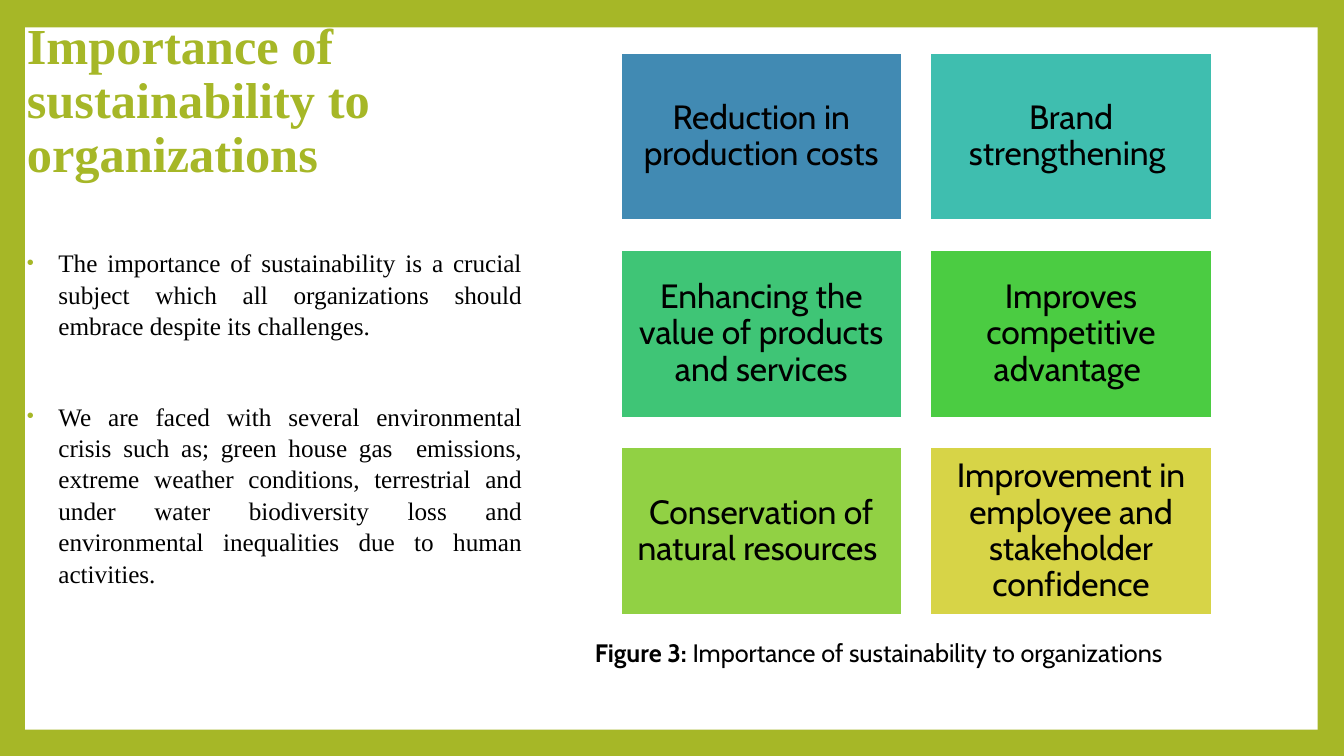
from dataclasses import dataclass

from lxml.etree import SubElement
from pptx import Presentation
from pptx.dml.color import RGBColor
from pptx.enum.shapes import MSO_SHAPE
from pptx.enum.text import MSO_ANCHOR as Anchor, MSO_AUTO_SIZE as AutoSize, PP_ALIGN as Align
from pptx.oxml.ns import qn
from pptx.util import Pt

PX = 9525  # EMU per px, 96 px to the inch


@dataclass(frozen=True)
class Theme:
    accent: str = "A6B727"
    paper: str = "FFFFFF"
    ink: str = "000000"
    serif: str = "Times New Roman"
    sans: str = "Cabin"
    title_size: int = 36
    tile_size: int = 24
    text_size: int = 18


@dataclass(frozen=True)
class Box:
    left: int
    top: int
    width: int
    height: int

    def emu(self) -> tuple[int, ...]:
        return tuple(v * PX for v in (self.left, self.top, self.width, self.height))


@dataclass(frozen=True)
class Benefit:
    wording: str
    color: str


THEME = Theme()
PANEL = Box(24, 26, 1231, 669)
TITLE = Box(16, 22, 556, 158)
BODY = Box(16, 230, 491, 472)
CAPTION = Box(557, 602, 640, 38)
FIRST_TILE = Box(591, 50, 268, 160)
COLUMNS, COLUMN_STEP, ROW_STEP = 2, 295, 188
TILE_INSET = 10
BULLET_INDENT = 30

BENEFITS = [
    Benefit("Reduction in production costs", "418AB3"),
    Benefit("Brand strengthening ", "3FBEAF"),
    Benefit("Enhancing the value of products and services", "3FC576"),
    Benefit("Improves competitive advantage ", "4BCC42"),
    Benefit("Conservation of natural resources ", "91D144"),
    Benefit("Improvement in employee and stakeholder confidence", "D7D447"),
]

# Each point with the space above it, in points
POINTS = [
    ("The importance of sustainability is a crucial subject which all organizations "
     "should embrace despite its challenges. ", 10),
    ("We are faced with several environmental crisis such as; green house gas  emissions, "
     "extreme weather conditions, terrestrial and under water biodiversity loss and "
     "environmental inequalities due to human activities. ", 42),
]


def apply(target, formats: dict) -> None:
    for name, value in formats.items():
        setattr(target, name, value)


def place(shape, box: Box) -> None:
    apply(shape, dict(zip(("left", "top", "width", "height"), box.emu())))


def write(paragraph, wording: str, face: str, size: int, color: str, bold: bool = False) -> None:
    run = paragraph.add_run()
    run.text = wording
    apply(run.font, {"name": face, "size": Pt(size), "bold": bold})
    run.font.color.rgb = RGBColor.from_string(color)


def add_rectangle(slide, box: Box, color: str):
    rectangle = slide.shapes.add_shape(MSO_SHAPE.RECTANGLE, *box.emu())
    rectangle.shadow.inherit = False
    rectangle.fill.solid()
    rectangle.fill.fore_color.rgb = RGBColor.from_string(color)
    rectangle.line.fill.background()
    return rectangle


def add_tile(slide, benefit: Benefit, index: int) -> None:
    row, column = divmod(index, COLUMNS)
    box = Box(FIRST_TILE.left + column * COLUMN_STEP, FIRST_TILE.top + row * ROW_STEP,
              FIRST_TILE.width, FIRST_TILE.height)
    tile = add_rectangle(slide, box, benefit.color)
    tile.line.color.rgb = RGBColor.from_string(THEME.paper)
    tile.line.width = Pt(1.5)
    frame = tile.text_frame
    apply(frame, {"word_wrap": True, "vertical_anchor": Anchor.MIDDLE})
    apply(frame, {f"margin_{side}": TILE_INSET * PX for side in ("left", "top", "right", "bottom")})
    label = frame.paragraphs[0]
    apply(label, {"alignment": Align.CENTER, "line_spacing": 0.9})
    write(label, benefit.wording, THEME.sans, THEME.tile_size, THEME.ink)


def add_bullet(paragraph) -> None:
    props = paragraph._p.get_or_add_pPr()
    props.set("marL", str(BULLET_INDENT * PX))
    props.set("indent", str(-BULLET_INDENT * PX))
    SubElement(SubElement(props, qn("a:buClr")), qn("a:srgbClr"), val=THEME.accent)
    SubElement(props, qn("a:buSzPct"), val="80000")
    SubElement(props, qn("a:buChar"), char="•")


def fill_title(title) -> None:
    place(title, TITLE)
    frame = title.text_frame
    apply(frame, {"word_wrap": True, "auto_size": AutoSize.NONE, "vertical_anchor": Anchor.BOTTOM})
    heading = frame.paragraphs[0]
    apply(heading, {"alignment": Align.LEFT, "line_spacing": 0.9})
    write(heading, "Importance of sustainability to organizations",
          THEME.serif, THEME.title_size, THEME.accent, bold=True)


def fill_body(body) -> None:
    place(body, BODY)
    frame = body.text_frame
    apply(frame, {"word_wrap": True, "auto_size": AutoSize.NONE, "vertical_anchor": Anchor.TOP})
    for index, (wording, gap) in enumerate(POINTS):
        point = frame.add_paragraph() if index else frame.paragraphs[0]
        apply(point, {"alignment": Align.JUSTIFY, "line_spacing": 1.04, "space_before": Pt(gap)})
        add_bullet(point)
        write(point, wording, THEME.serif, THEME.text_size, THEME.ink)


def add_caption(slide) -> None:
    frame = slide.shapes.add_textbox(*CAPTION.emu()).text_frame
    apply(frame, {"word_wrap": True, "auto_size": AutoSize.SHAPE_TO_FIT_TEXT})
    caption = frame.paragraphs[0]
    write(caption, "Figure 3: ", THEME.sans, THEME.text_size, THEME.ink, bold=True)
    write(caption, "Importance of sustainability to organizations",
          THEME.sans, THEME.text_size, THEME.ink)


def main() -> None:
    deck = Presentation()
    apply(deck, {"slide_width": 1280 * PX, "slide_height": 720 * PX})
    slide = deck.slides.add_slide(deck.slide_layouts[1])
    backdrop = slide.background.fill
    backdrop.solid()
    backdrop.fore_color.rgb = RGBColor.from_string(THEME.accent)

    panel = add_rectangle(slide, PANEL, THEME.paper)
    slide.shapes.title._element.addprevious(panel._element)  # behind the text
    fill_title(slide.shapes.title)
    fill_body(slide.placeholders[1])
    for index, benefit in enumerate(BENEFITS):
        add_tile(slide, benefit, index)
    add_caption(slide)
    deck.save("out.pptx")


if __name__ == "__main__":
    main()
